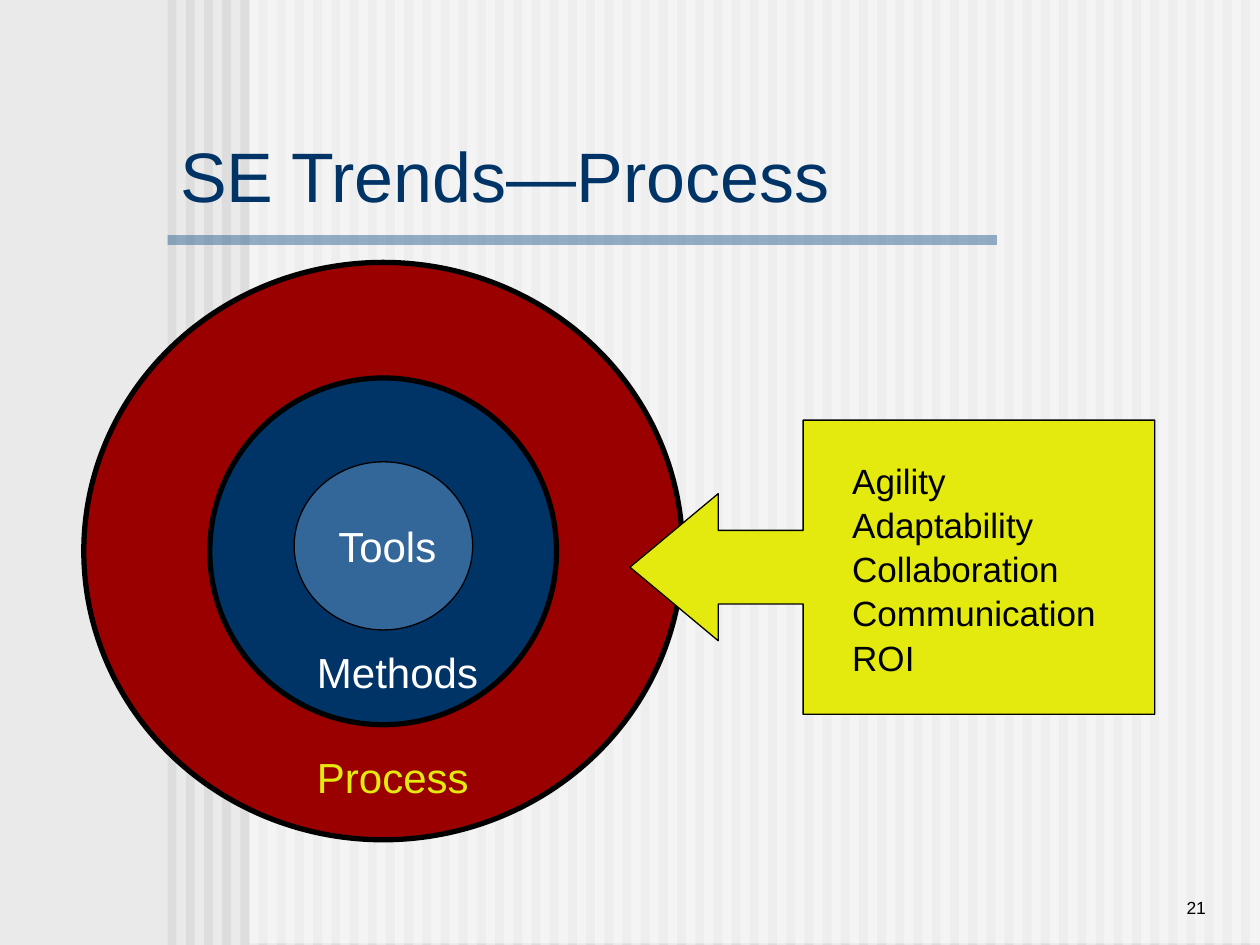
from lxml.etree import SubElement
from pptx import Presentation
from pptx.dml.color import RGBColor
from pptx.enum.shapes import MSO_SHAPE as Shape
from pptx.enum.text import MSO_ANCHOR as Anchor, PP_ALIGN as Align
from pptx.oxml.ns import qn
from pptx.util import Cm, Pt

PAPER = RGBColor(0xEA, 0xEA, 0xEA)
STRIPE = RGBColor(0xDD, 0xDD, 0xDD)
WHITE = RGBColor(0xFF, 0xFF, 0xFF)
BLACK = RGBColor(0, 0, 0)
NAVY = RGBColor(0x00, 0x33, 0x66)
BLUE = RGBColor(0x33, 0x66, 0x99)
RED = RGBColor(0x9A, 0x00, 0x00)
YELLOW = RGBColor(0xE4, 0xEA, 0x0E)

SLIDE_WIDTH, SLIDE_HEIGHT = 25.4, 19.05
STRIPE_LEFT, STRIPE_RIGHT, STRIPE_WIDTH, STRIPE_COUNT = 3.38, 25.02, 0.18, 60
STRIPE_PITCH = (STRIPE_RIGHT - STRIPE_LEFT) / (STRIPE_COUNT - 1)
VEIL_LEFT = 5.03


class SlideBuilder:
    font_name = "Arial"

    def __init__(self, slide):
        self.slide = slide
        self.shapes = slide.shapes

    def background(self, color):
        fill = self.slide.background.fill
        fill.solid()
        fill.fore_color.rgb = color

    def shape(self, kind, box, color, line_width=0, opacity=100):
        shape = self.shapes.add_shape(kind, *map(Cm, box))
        shape.shadow.inherit = False
        shape.fill.solid()
        shape.fill.fore_color.rgb = color
        if opacity < 100:
            srgb = shape._element.spPr.find(".//" + qn("a:srgbClr"))
            SubElement(srgb, qn("a:alpha"), val=str(opacity * 1000))
        if line_width:
            shape.line.color.rgb = BLACK
            shape.line.width = Pt(line_width)
        else:
            shape.line.fill.background()
        return shape

    def style_lines(self, frame, lines, size, color, align=Align.LEFT, spacing=None):
        frame.text = "\n".join(lines)
        for paragraph in frame.paragraphs:
            paragraph.alignment = align
            paragraph.line_spacing = spacing
            paragraph.font.name = self.font_name
            paragraph.font.size = Pt(size)
            paragraph.font.color.rgb = color

    def title(self, text, box):
        title = self.shapes.title
        title.left, title.top, title.width, title.height = map(Cm, box)
        title.text_frame.vertical_anchor = Anchor.BOTTOM
        self.style_lines(title.text_frame, [text], 40, NAVY)
        self.shapes._spTree.append(title._element)

    def text(self, lines, box, size, color, wrap=True, anchor=Anchor.TOP, **style):
        frame = self.shapes.add_textbox(*map(Cm, box)).text_frame
        frame.word_wrap = wrap
        frame.vertical_anchor = anchor
        self.style_lines(frame, lines, size, color, **style)


def main():
    deck = Presentation()
    deck.slide_width, deck.slide_height = Cm(SLIDE_WIDTH), Cm(SLIDE_HEIGHT)
    builder = SlideBuilder(deck.slides.add_slide(deck.slide_layouts[5]))

    builder.background(PAPER)
    for index in range(STRIPE_COUNT):
        left = STRIPE_LEFT + index * STRIPE_PITCH
        builder.shape(Shape.RECTANGLE, (left, 0, STRIPE_WIDTH, SLIDE_HEIGHT), STRIPE)
    veil = (VEIL_LEFT, 0, SLIDE_WIDTH - VEIL_LEFT, SLIDE_HEIGHT - 0.03)
    builder.shape(Shape.RECTANGLE, veil, WHITE, opacity=50)
    builder.shape(Shape.RECTANGLE, (STRIPE_LEFT, 4.74, 16.72, 0.2), BLUE, opacity=50)

    builder.text(["21"], (20.96, 17.36, 3.6, 1.27), 10, BLACK,
                 anchor=Anchor.BOTTOM, align=Align.RIGHT)
    builder.title("SE Trends—Process", (STRIPE_LEFT, 2.74, 21.17, 1.76))

    rings = [
        ((1.69, 5.29, 12.07, 11.64), RED, 3),
        ((4.23, 7.62, 6.99, 6.99), NAVY, 3),
        ((5.93, 9.31, 3.6, 3.39), BLUE, 0.75),
    ]
    for box, color, line_width in rings:
        builder.shape(Shape.OVAL, box, color, line_width)

    ring_labels = [
        ("Tools", (6.57, 10.37, 2.57, 1.27), WHITE),
        ("Methods", (6.14, 12.91, 3.76, 1.27), WHITE),
        ("Process", (6.14, 15.03, 3.56, 1.27), YELLOW),
    ]
    for label, box, color in ring_labels:
        builder.text([label], box, 24, color, wrap=False)

    callout = builder.shape(Shape.LEFT_ARROW_CALLOUT, (12.7, 8.47, 10.58, 5.93), YELLOW, 0.75)
    for index, ratio in enumerate((0.25, 0.25, 0.3, 0.67)):
        callout.adjustments[index] = ratio
    trends = ["Agility", "Adaptability", "Collaboration", "Communication", "ROI"]
    builder.text(trends, (16.93, 9.1, 5.93, 4.5), 20, BLACK, spacing=1.05)

    deck.save("out.pptx")


if __name__ == "__main__":
    main()
